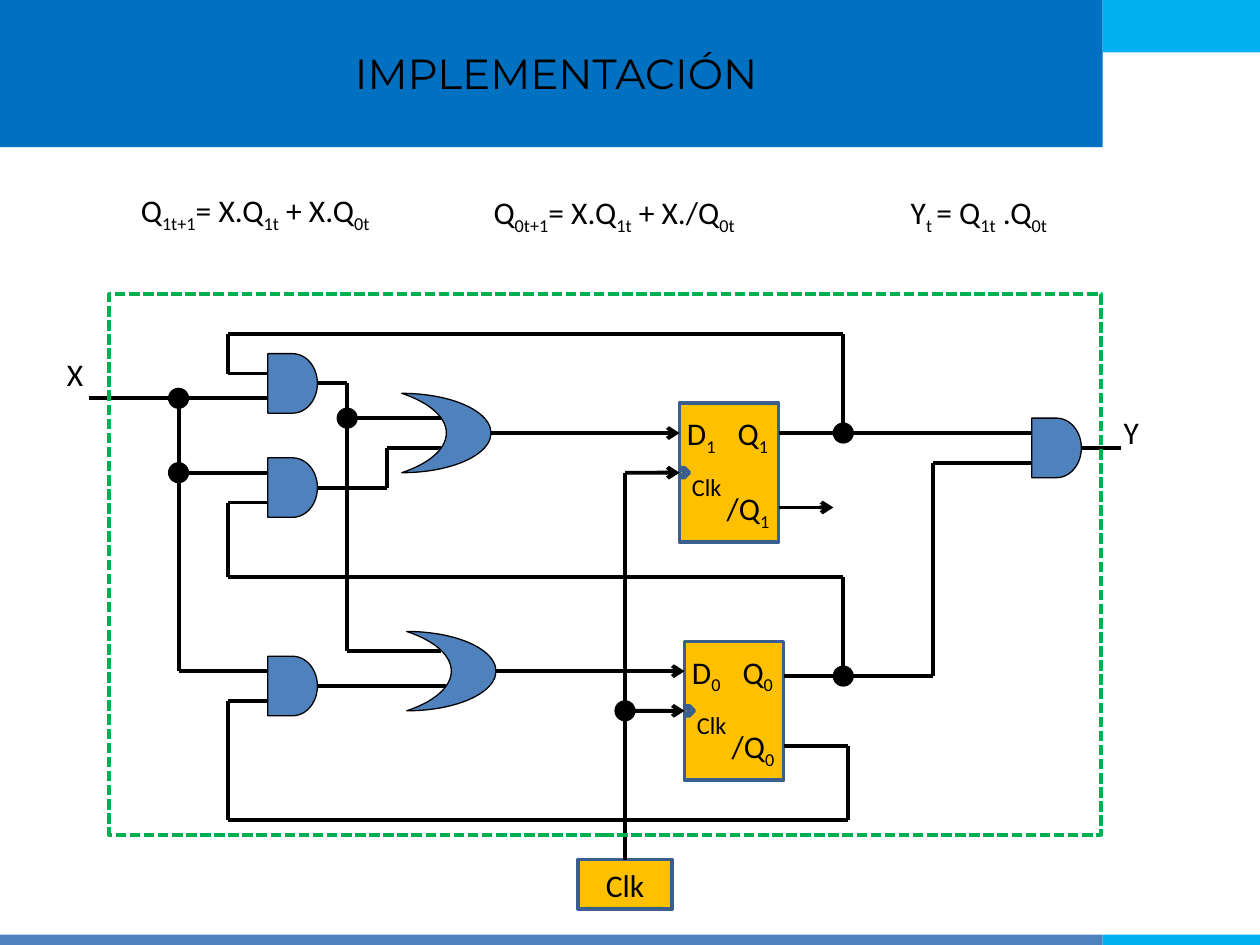
from itertools import pairwise

from lxml import etree
from pptx import Presentation
from pptx.dml.color import RGBColor
from pptx.enum.dml import MSO_LINE
from pptx.enum.shapes import MSO_CONNECTOR, MSO_SHAPE
from pptx.enum.text import MSO_ANCHOR, MSO_AUTO_SIZE, PP_ALIGN
from pptx.oxml.ns import qn
from pptx.util import Cm, Pt

RECTANGLE = MSO_SHAPE.RECTANGLE
AND_GATE = MSO_SHAPE.FLOWCHART_DELAY
OR_GATE = MSO_SHAPE.MOON
CHEVRON = MSO_SHAPE.CHEVRON
CIRCLE = MSO_SHAPE.OVAL
STRAIGHT = MSO_CONNECTOR.STRAIGHT
DASHED = MSO_LINE.SQUARE_DOT
MIDDLE = MSO_ANCHOR.MIDDLE
CENTER = PP_ALIGN.CENTER
GROW = MSO_AUTO_SIZE.SHAPE_TO_FIT_TEXT
TOP_SITE, LEFT_SITE, RIGHT_SITE = 0, 1, 3

BLACK, BLUE, SKY, GATE_BLUE = "000000", "0070C0", "00B0F0", "4F81BD"
AMBER, EDGE_BLUE, GREEN = "FFC000", "3A5F8C", "00B050"


def color(value):
    return RGBColor.from_string(value)


def add_box(slide, kind, left, top, width, height, fill=None, line=None, line_width=0.75):
    shape = slide.shapes.add_shape(kind, Cm(left), Cm(top), Cm(width), Cm(height))
    shape.shadow.inherit = False
    if fill:
        shape.fill.solid()
        shape.fill.fore_color.rgb = color(fill)
    else:
        shape.fill.background()
    if line:
        shape.line.color.rgb = color(line)
        shape.line.width = Pt(line_width)
    else:
        shape.line.fill.background()
    return shape


def write_runs(paragraph, texts, size=18, font="Calibri"):
    """Write texts that alternate between baseline and subscript."""
    for index, text in enumerate(texts):
        if not text:
            continue
        run = paragraph.add_run()
        run.text = text
        run.font.size = Pt(size)
        run.font.name = font
        run.font.color.rgb = color(BLACK)
        if index % 2:
            run._r.get_or_add_rPr().set("baseline", "-25000")


def add_label(slide, left, top, width, texts, size=18):
    box = slide.shapes.add_textbox(Cm(left), Cm(top), Cm(width), Cm(1.02))
    box.text_frame.word_wrap = True
    box.text_frame.auto_size = GROW
    paragraph = box.text_frame.paragraphs[0]
    write_runs(paragraph, texts, size)
    return paragraph


def add_tab_stop(paragraph, position):
    tabs = etree.SubElement(paragraph._p.get_or_add_pPr(), qn("a:tabLst"))
    etree.SubElement(tabs, qn("a:tab"), pos=str(Cm(position)), algn="l")


def add_wire(slide, points, start=None, end=None, arrow=False):
    """Draw straight segments through points; start and end are (shape, site)."""
    segments = []
    for (x1, y1), (x2, y2) in pairwise(points):
        segment = slide.shapes.add_connector(STRAIGHT, Cm(x1), Cm(y1), Cm(x2), Cm(y2))
        segment.line.color.rgb = color(BLACK)
        segment.line.width = Pt(2.25)
        etree.SubElement(segment._element.spPr, qn("a:effectLst"))
        segments.append(segment)
    if start:
        segments[0].begin_connect(*start)
    if end:
        segments[-1].end_connect(*end)
    if arrow:
        etree.SubElement(segments[-1].line._get_or_add_ln(), qn("a:tailEnd"), type="arrow")


def add_and_gate(slide, left, top):
    return add_box(slide, AND_GATE, left, top, 1, 1.2, GATE_BLUE, BLACK)


def add_or_gate(slide, left, top):
    gate = add_box(slide, OR_GATE, left, top, 1.8, 1.6, GATE_BLUE, BLACK)
    gate._element.spPr.get_or_add_xfrm().set("flipH", "1")


def add_junction(slide, x, y):
    add_box(slide, CIRCLE, x - 0.2, y - 0.2, 0.4, 0.4, BLACK, BLACK)


def add_flip_flop(slide, left, top, digit):
    body = add_box(slide, RECTANGLE, left, top, 2, 2.8, AMBER, EDGE_BLUE, 2)
    add_box(slide, CHEVRON, left, top + 1.3, 0.2, 0.2, GATE_BLUE, EDGE_BLUE, 2)
    inputs = add_label(slide, left - 0.1, top + 0.1, 2.2, ["D", digit, "\tQ", digit])
    add_tab_stop(inputs, 1.02)
    add_label(slide, left + 0.7, top + 1.6, 1.5, ["/Q", digit])
    add_label(slide, left, top + 0.7, 1.5, ["", "Clk"], 24)
    return body


def add_header(slide):
    for left, width, height, bottom_fill, top_fill in (
        (0, 22.23, 2.97, GATE_BLUE, BLUE),
        (22.23, 3.17, 1.06, SKY, SKY),
    ):
        add_box(slide, RECTANGLE, left, 0, width, height, top_fill)
        add_box(slide, RECTANGLE, left, 18.84, width, 0.21, bottom_fill)
    title = slide.shapes.add_textbox(Cm(0.3), Cm(0.23), Cm(21.6), Cm(2.46))
    title.text_frame.word_wrap = True
    title.text_frame.vertical_anchor = MIDDLE
    paragraph = title.text_frame.paragraphs[0]
    paragraph.alignment = CENTER
    write_runs(paragraph, [" IMPLEMENTACIÓN"], 24, "Montserrat")


def add_equations(slide):
    add_label(slide, 2.59, 3.73, 5.41, ["Q", "1t+1", "= X.Q", "1t", " + X.Q", "0t"])
    add_label(slide, 9.7, 3.76, 5.59, ["Q", "0t+1", "= X.Q", "1t", " + X./Q", "0t"])
    add_label(slide, 18.11, 3.76, 3.51, ["Y", "t ", "= Q", "1t", " .Q", "0t"])


def add_clock(slide):
    clock = add_box(slide, RECTANGLE, 11.65, 17.33, 1.9, 1, AMBER, EDGE_BLUE, 2)
    frame = clock.text_frame
    frame.word_wrap = False
    frame.vertical_anchor = MIDDLE
    frame.paragraphs[0].alignment = CENTER
    write_runs(frame.paragraphs[0], ["Clk"])
    return clock


def add_circuit(slide):
    flip_flop_1 = add_flip_flop(slide, 13.7, 8.13, "1")
    flip_flop_0 = add_flip_flop(slide, 13.8, 12.93, "0")
    clock = add_clock(slide)
    add_or_gate(slide, 8.1, 7.93)
    add_or_gate(slide, 8.2, 12.73)
    and_upper, and_middle, and_lower = [
        add_and_gate(slide, 5.4, top) for top in (7.13, 9.23, 13.23)
    ]
    and_output = add_and_gate(slide, 20.8, 8.43)

    # Input X
    add_wire(slide, [(1.8, 8.03), (5.4, 8.03)])
    add_wire(slide, [(3.6, 8.03), (3.6, 13.53), (5.4, 13.53)])
    add_wire(slide, [(3.6, 9.53), (5.4, 9.53)])
    # AND gates to OR gates
    add_wire(slide, [(6.4, 7.73), (7, 7.73), (7, 13.13), (8.9, 13.13)],
             start=(and_upper, RIGHT_SITE))
    add_wire(slide, [(7, 8.43), (8.9, 8.43)])
    add_wire(slide, [(6.4, 9.83), (7.8, 9.83), (7.8, 9.03), (8.9, 9.03)],
             start=(and_middle, RIGHT_SITE))
    add_wire(slide, [(6.4, 13.83), (9, 13.83)], start=(and_lower, RIGHT_SITE))
    # OR gates to flip-flops
    add_wire(slide, [(9.9, 8.73), (13.7, 8.73)], arrow=True)
    add_wire(slide, [(10, 13.53), (13.8, 13.53)], arrow=True)
    # Clock
    add_wire(slide, [(12.6, 17.33), (12.6, 9.53), (13.7, 9.53)],
             start=(clock, TOP_SITE), end=(flip_flop_1, LEFT_SITE), arrow=True)
    add_wire(slide, [(12.6, 14.33), (13.8, 14.33)],
             end=(flip_flop_0, LEFT_SITE), arrow=True)
    # Flip-flop outputs and output Y
    add_wire(slide, [(15.7, 8.73), (20.8, 8.73)])
    add_wire(slide, [(15.7, 10.23), (16.8, 10.23)], arrow=True)
    add_wire(slide, [(15.8, 13.63), (18.8, 13.63), (18.8, 9.33), (20.8, 9.33)])
    add_wire(slide, [(21.8, 9.03), (22.6, 9.03)], start=(and_output, RIGHT_SITE))
    # Feedback
    add_wire(slide, [(17, 8.73), (17, 6.73), (4.6, 6.73), (4.6, 7.53), (5.4, 7.53)])
    add_wire(slide, [(17, 13.63), (17, 11.63), (4.6, 11.63), (4.6, 10.13), (5.4, 10.13)])
    add_wire(slide, [(15.8, 15.03), (17.1, 15.03), (17.1, 16.53),
                     (4.6, 16.53), (4.6, 14.13), (5.4, 14.13)])

    for x, y in ((3.6, 8.03), (3.6, 9.53), (7, 8.43), (17, 8.73), (17, 13.63), (12.6, 14.33)):
        add_junction(slide, x, y)
    add_label(slide, 1.1, 7.03, 0.9, "X")
    add_label(slide, 22.4, 8.2, 1, "Y")
    boundary = add_box(slide, RECTANGLE, 2.2, 5.93, 20, 10.9, line=GREEN, line_width=2)
    boundary.line.dash_style = DASHED


def main():
    presentation = Presentation()
    presentation.slide_width = Cm(25.4)
    presentation.slide_height = Cm(19.05)
    slide = presentation.slides.add_slide(presentation.slide_layouts[6])
    add_header(slide)
    add_equations(slide)
    add_circuit(slide)
    presentation.save("out.pptx")


if __name__ == "__main__":
    main()
